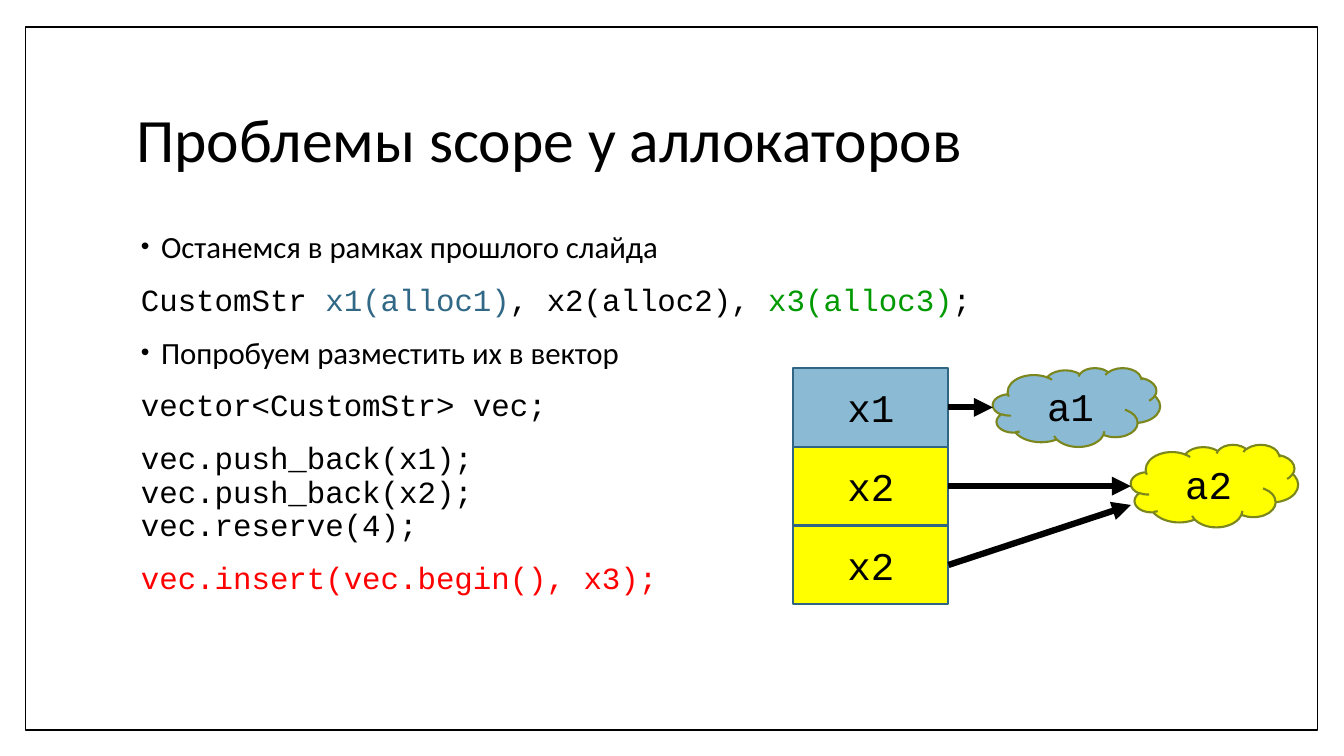
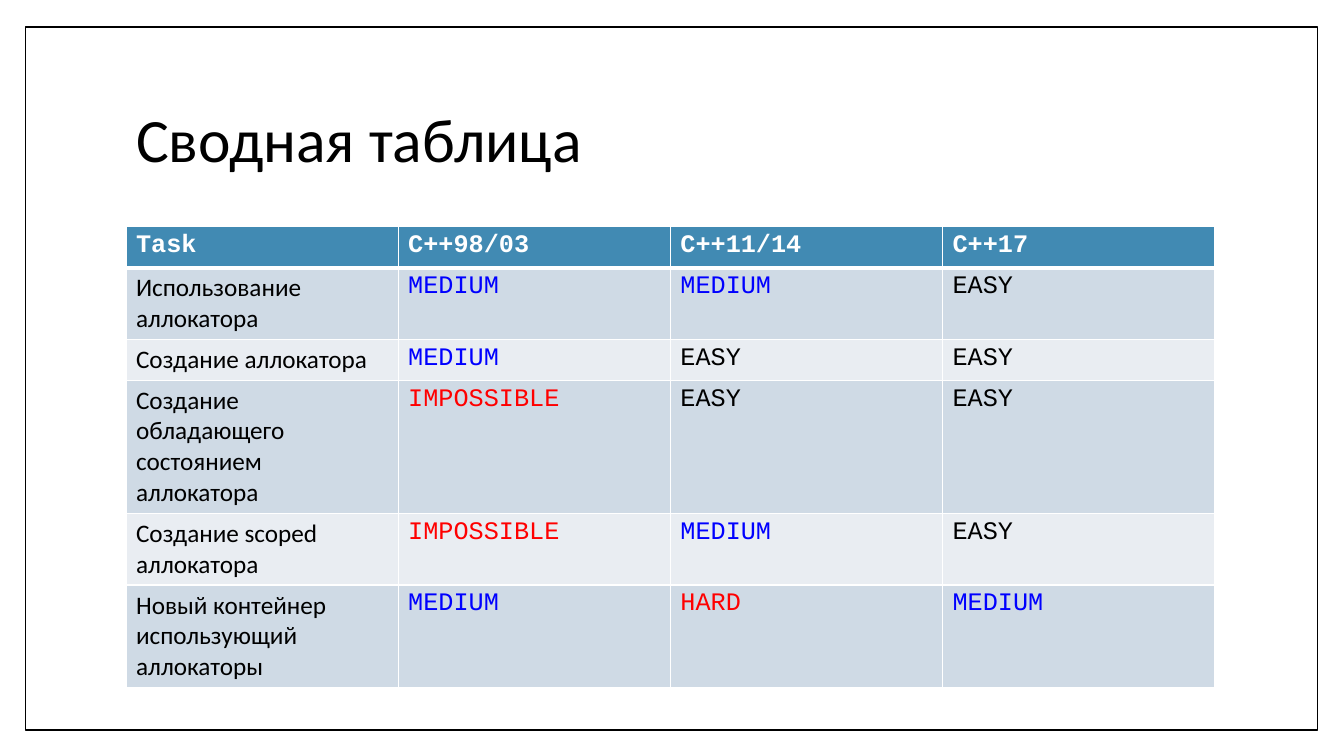
from pptx import Presentation
from pptx.dml.color import RGBColor as RGB
from pptx.enum.shapes import MSO_CONNECTOR as LINE, MSO_SHAPE as SHAPE
from pptx.enum.text import MSO_ANCHOR as ANCHOR, PP_ALIGN as ALIGN
from pptx.oxml.ns import qn
from pptx.util import Pt
from lxml.etree import SubElement as Sub

INK = {
    "black": "000000", "white": "FFFFFF", "red": "FF0000", "blue": "0000FF",
    "green": "009900", "teal": "316886", "edge": "306684", "olive": "7B871D",
    "sky": "8ABAD4", "yellow": "FFFF00", "head": "418AB3",
    "odd": "CFDAE5", "even": "E9EDF2",
}
SANS, MONO = "Calibri", "Courier New"
LEFT, TOP, WIDE = 90, 162, 777.6
LEVEL = {"EASY": "black", "MEDIUM": "blue", "HARD": "red", "IMPOSSIBLE": "red"}

NOTES = [
    (SANS, [("Останемся в рамках прошлого слайда", "black")]),
    (MONO, [("CustomStr ", "black"), ("x1(alloc1)", "teal"), (", ", "black"),
            ("x2(alloc2)", "black"), (", ", "black"),
            ("x3(alloc3)", "green"), (";", "black")]),
    (SANS, [("Попробуем разместить их в вектор", "black")]),
    (MONO, [("vector<CustomStr> vec;", "black")]),
    (MONO, [("vec.push_back(x1);\nvec.push_back(x2);\nvec.reserve(4);", "black")]),
    (MONO, [("vec.insert(vec.begin(), x3);", "red")]),
]
TASKS = [
    ("Task", "C++98/03", "C++11/14", "C++17"),
    ("Использование аллокатора", "MEDIUM", "MEDIUM", "EASY"),
    ("Создание аллокатора", "MEDIUM", "EASY", "EASY"),
    ("Создание обладающего состоянием аллокатора", "IMPOSSIBLE", "EASY", "EASY"),
    ("Создание scoped аллокатора", "IMPOSSIBLE", "MEDIUM", "EASY"),
    ("Новый контейнер использующий аллокаторы", "MEDIUM", "HARD", "MEDIUM"),
]


def rgb(name):
    """Return the named colour."""
    return RGB.from_string(INK[name])


def write(para, text, size, face, ink="black", bold=False):
    """Add text to a paragraph, one run per line."""
    for i, line in enumerate(text.split("\n")):
        if i:
            para.add_line_break()
        run = para.add_run()
        run.text = line
        font = run.font
        font.size, font.name, font.bold = Pt(size), face, bold
        font.color.rgb = rgb(ink)


def shape(slide, kind, box, fill, edge, width, text=""):
    """Draw an outlined shape with a centred label."""
    item = slide.shapes.add_shape(kind, *map(Pt, box))
    item.shadow.inherit = False
    item.fill.solid()
    item.fill.fore_color.rgb = rgb(fill)
    item.line.color.rgb = rgb(edge)
    item.line.width = Pt(width)
    if text:
        item.text_frame.vertical_anchor = ANCHOR.MIDDLE
        para = item.text_frame.paragraphs[0]
        para.alignment = ALIGN.CENTER
        write(para, text, 28, MONO)
    return item


def arrow(slide, start, end):
    """Draw a thick arrow between two points."""
    item = slide.shapes.add_connector(LINE.STRAIGHT, *map(Pt, start + end))
    item.line.color.rgb = rgb("black")
    item.line.width = Pt(4.5)
    Sub(item.line._get_or_add_ln(), qn("a:tailEnd"), type="triangle")
    Sub(item.element.spPr, qn("a:effectLst"))


def page(deck, layout, text):
    """Add a slide with its title."""
    slide = deck.slides.add_slide(layout)
    title = slide.shapes.title
    title.left, title.top, title.width, title.height = map(
        Pt, (LEFT, 48.2, WIDE, 106.6))
    title.text_frame.vertical_anchor = ANCHOR.MIDDLE
    para = title.text_frame.paragraphs[0]
    para.alignment, para.line_spacing = ALIGN.LEFT, 0.9
    write(para, text, 44, SANS)
    return slide


def frame(slide, layout):
    """Put the page frame at the back of the layout."""
    item = shape(slide, SHAPE.RECTANGLE, (18, 19.4, 923, 502), "white", "black", 1)
    layout.shapes.element.insert(2, item.element)


def bullet(para, left, hang, mark):
    """Set the indent and the optional bullet of a paragraph."""
    props = para._p.get_or_add_pPr()
    props.set("marL", str(Pt(left)))
    props.set("indent", str(Pt(hang)))
    if mark:
        Sub(Sub(props, qn("a:buClr")), qn("a:srgbClr"), val=INK["black"])
        Sub(props, qn("a:buSzPct"), val="80000")
        Sub(props, qn("a:buFont"), typeface="Arial")
        Sub(props, qn("a:buChar"), char=mark)
    else:
        Sub(props, qn("a:buNone"))


def notes(slide, items):
    """Write bulleted remarks and plain code lines."""
    box = slide.shapes.add_textbox(*map(Pt, (LEFT, TOP, WIDE, 318)))
    body = box.text_frame
    body.word_wrap = True
    for i, (face, runs) in enumerate(items):
        para = body.add_paragraph() if i else body.paragraphs[0]
        if face == SANS:
            bullet(para, 18, -14.4, "•")
        else:
            bullet(para, 3.6, 0, None)
        para.line_spacing = 0.9
        if i:
            para.space_before = Pt(14)
        for text, ink in runs:
            write(para, text, 22, face, ink)


def vector(slide):
    """Draw the vector cells, their allocators and the arrows."""
    left, top, wide, high = 566.6, 262.8, 110.9, 56.3
    near, far, edge = 709.2, 807.8, left + wide
    mids = [top + high * (i + 0.5) for i in range(3)]
    for i, (text, fill) in enumerate(
            [("x1", "sky"), ("x2", "yellow"), ("x2", "yellow")]):
        box = (left, top + i * high, wide, high)
        shape(slide, SHAPE.RECTANGLE, box, fill, "edge", 1.5, text)
    for text, fill, box in [("a1", "sky", (near, top, 119.5, high)),
                            ("a2", "yellow", (far, 317.5, 119.5, 59))]:
        shape(slide, SHAPE.CLOUD, box, fill, "olive", 1.5, text)
    for mid, end in zip(mids, [(near, mids[0]), (far, mids[1]), (far, 360.7)]):
        arrow(slide, (edge, mid), end)


def border(cell, low):
    """Draw white cell borders with the given bottom width."""
    props = cell._tc.get_or_add_tcPr()
    for side, width in (("L", 1), ("R", 1), ("T", 1), ("B", low)):
        line = Sub(props, qn("a:ln" + side), w=str(Pt(width)))
        Sub(Sub(line, qn("a:solidFill")), qn("a:srgbClr"), val=INK["white"])


def table(slide, rows):
    """Add the table of tasks, coloured by difficulty."""
    high = 29.2
    box = (LEFT, TOP, WIDE, high * len(rows))
    grid = slide.shapes.add_table(len(rows), len(rows[0]), *map(Pt, box)).table
    for r, row in enumerate(rows):
        grid.rows[r].height = Pt(high)
        fill = "odd" if r % 2 else "even"
        for c, text in enumerate(row):
            cell = grid.cell(r, c)
            border(cell, 1 if r else 3)
            cell.fill.solid()
            cell.fill.fore_color.rgb = rgb(fill if r else "head")
            face = SANS if r and not c else MONO
            ink = LEVEL.get(text, "black") if r else "white"
            write(cell.text_frame.paragraphs[0], text, 18, face, ink, not r)


def main():
    """Build and save the deck."""
    deck = Presentation()
    deck.slide_width, deck.slide_height = Pt(960), Pt(540)
    layout = deck.slide_layouts[5]
    scope = page(deck, layout, "Проблемы scope у аллокаторов")
    frame(scope, layout)
    notes(scope, NOTES)
    vector(scope)
    table(page(deck, layout, "Сводная таблица"), TASKS)
    deck.save("out.pptx")


if __name__ == "__main__":
    main()
